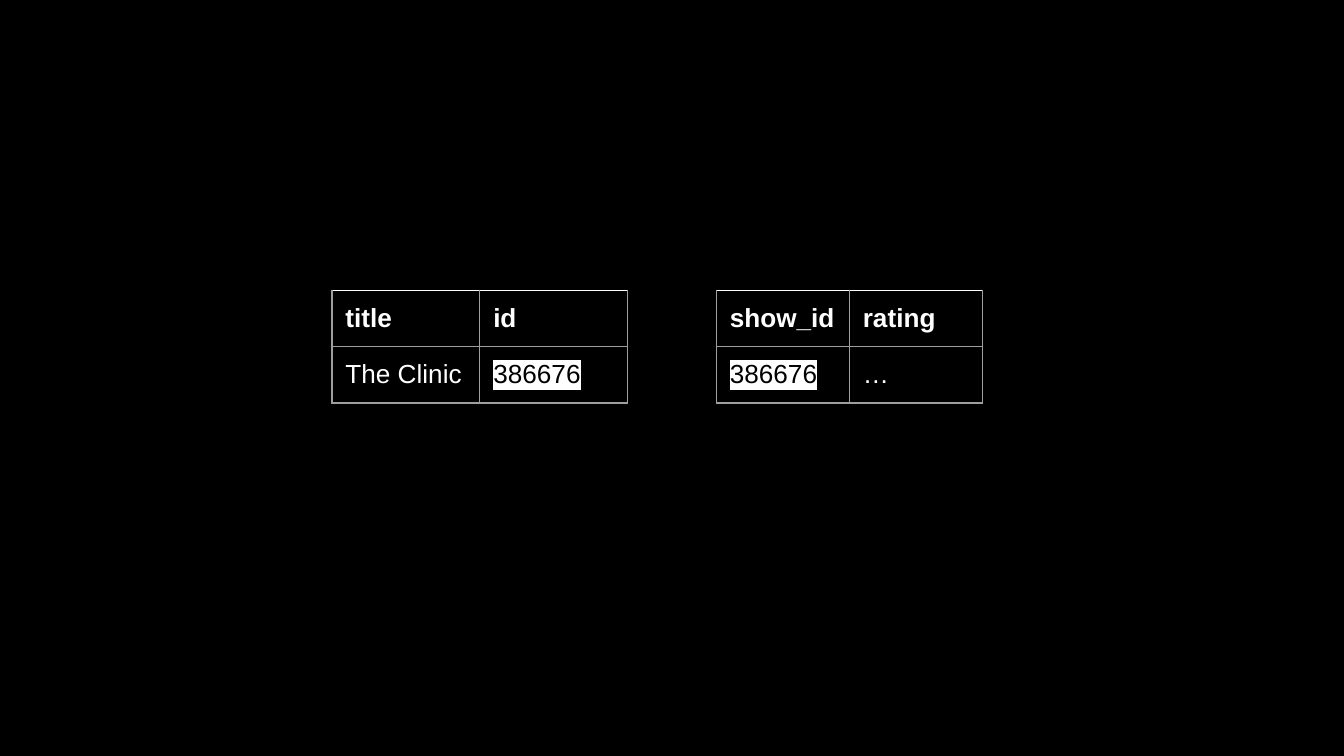
"""Build a slide with two small database tables that share a show id."""
import lxml.etree
import pptx
import pptx.dml.color
import pptx.oxml.ns
import pptx.util

COLORS = {"back": "000000", "text": "FFFFFF", "mark": "FFFFFF",
          "marked": "000000", "rule": "9E9E9E", "top": "FFFFFF"}


class Page:
    """Hold the style and the current slide."""

    font, size, line, inset = "Arial", 14, 0.75, 0.1
    width = 10
    height = width * 9 / 16

    def __init__(self, deck):
        """Add a blank slide with a plain background."""
        deck.slide_width = pptx.util.Inches(self.width)
        deck.slide_height = pptx.util.Inches(self.height)
        self.slide = deck.slides.add_slide(deck.slide_layouts[6])
        fill = self.slide.background.fill
        fill.solid()
        fill.fore_color.rgb = self.color("back")

    def color(self, name):
        """Return a named colour."""
        return pptx.dml.color.RGBColor.from_string(COLORS[name])

    def add_color(self, parent, name):
        """Append a named colour element."""
        lxml.etree.SubElement(parent, pptx.oxml.ns.qn("a:srgbClr"), val=COLORS[name])

    def border(self, cell, top):
        """Draw the four borders of a cell."""
        properties = cell._tc.get_or_add_tcPr()
        for index, side in enumerate("LRTB"):
            line = lxml.etree.Element(pptx.oxml.ns.qn(f"a:ln{side}"),
                                      w=str(pptx.util.Pt(self.line)))
            fill = lxml.etree.SubElement(line, pptx.oxml.ns.qn("a:solidFill"))
            self.add_color(fill, top if side == "T" else "rule")
            properties.insert(index, line)

    def highlight(self, span):
        """Put a marker colour behind a run."""
        span.font.color.rgb = self.color("marked")
        mark = lxml.etree.Element(pptx.oxml.ns.qn("a:highlight"))
        self.add_color(mark, "mark")
        properties = span._r.get_or_add_rPr()
        properties.find(pptx.oxml.ns.qn("a:solidFill")).addnext(mark)

    def cell(self, cell, text, header, marked):
        """Fill and format one table cell."""
        cell.fill.background()
        cell.margin_left = cell.margin_right = pptx.util.Inches(self.inset)
        cell.margin_top = cell.margin_bottom = pptx.util.Inches(self.inset)
        cell.text_frame.text = text
        span = cell.text_frame.paragraphs[0].runs[0]
        span.font.name = self.font
        span.font.size = pptx.util.Pt(self.size)
        span.font.bold = header
        span.font.color.rgb = self.color("text")
        if marked:
            self.highlight(span)
        self.border(cell, "top" if header else "rule")

    def table(self, left, top, column, row, rows, key):
        """Add a table with equal columns and rows, sized in shares of the slide."""
        x, column_width = (pptx.util.Inches(share * self.width) for share in (left, column))
        y, row_height = (pptx.util.Inches(share * self.height) for share in (top, row))
        count = len(rows[0])
        table = self.slide.shapes.add_table(
            len(rows), count, x, y, column_width * count, row_height * len(rows)).table
        table.first_row = table.horz_banding = False
        for item in table.columns:
            item.width = column_width
        for item in table.rows:
            item.height = row_height
        for i, texts in enumerate(rows):
            for j, text in enumerate(texts):
                self.cell(table.cell(i, j), text, i == 0, i > 0 and j == key)


def main():
    """Build and save the deck."""
    deck = pptx.Presentation()
    page = Page(deck)
    top, row = 2.16 / page.height, 0.42 / page.height
    page.table(5.33 / page.width, top, 0.99 / page.width, row,
               [["show_id", "rating"], ["386676", "…"]], key=0)
    page.table(2.47 / page.width, top, 1.1 / page.width, row,
               [["title", "id"], ["The Clinic", "386676"]], key=1)
    deck.save("out.pptx")


if __name__ == "__main__":
    main()
